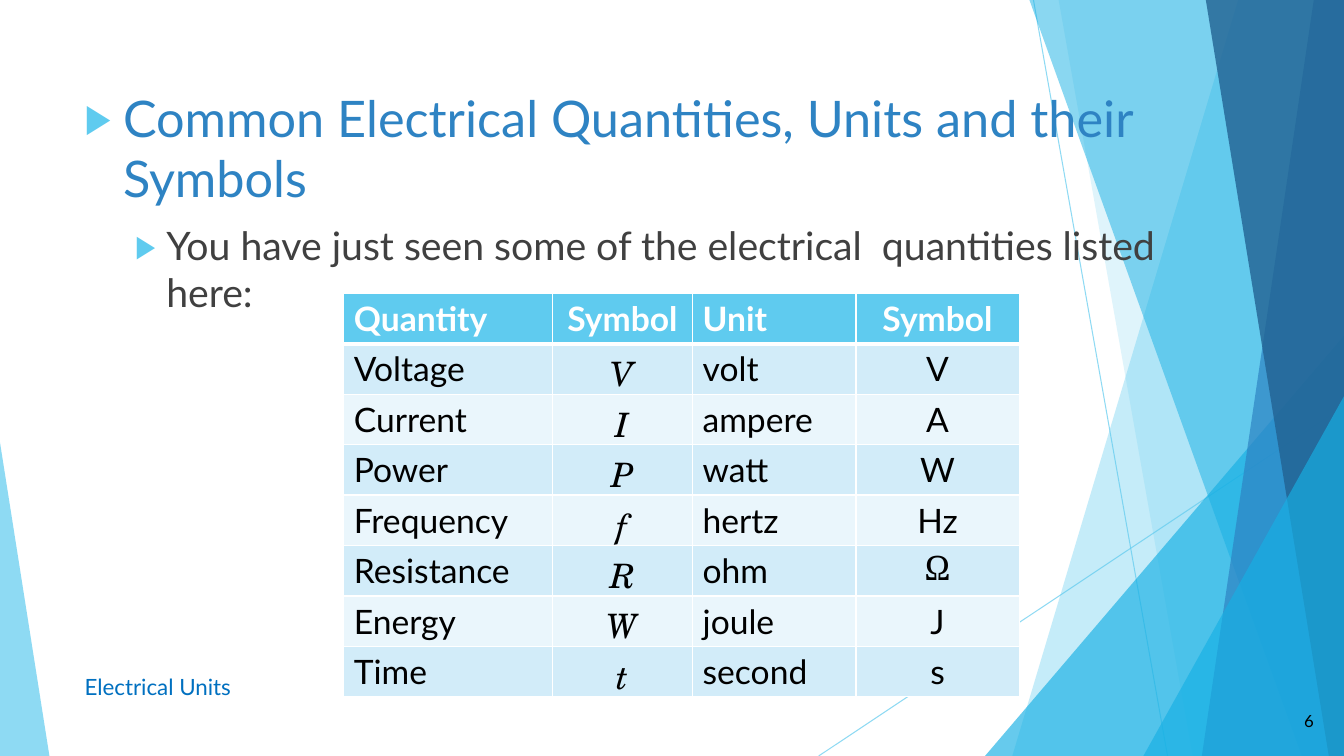
import pptx
import pptx.util
import pptx.dml.color
import pptx.enum.shapes
import pptx.enum.text
import pptx.oxml
import pptx.oxml.ns

Inches = pptx.util.Inches
Pt = pptx.util.Pt
RGBColor = pptx.dml.color.RGBColor
Align = pptx.enum.text.PP_ALIGN
Anchor = pptx.enum.text.MSO_ANCHOR

SKY = RGBColor(0x5F, 0xCB, 0xEF)
CYAN = RGBColor(0x17, 0xB0, 0xE4)
BLUE = RGBColor(0x2E, 0x83, 0xC3)
NAVY = RGBColor(0x22, 0x62, 0x92)
FOOTER_BLUE = RGBColor(0x00, 0x70, 0xC0)
GRAY = RGBColor(0x40, 0x40, 0x40)
BLACK = RGBColor(0x00, 0x00, 0x00)
WHITE = RGBColor(0xFF, 0xFF, 0xFF)
BAND_DARK = RGBColor(0xD2, 0xEC, 0xF9)
BAND_LIGHT = RGBColor(0xEA, 0xF6, 0xFC)

WIDTH, HEIGHT = 13.33, 7.5
TEXT_FONT = "Lato"
VARIABLE_FONT = "TeX Gyre Schola"
OMEGA_FONT = "Cambria"

RAYS = [((10.25, 0), (11.58, HEIGHT)), ((WIDTH, 4.03), (8.12, HEIGHT))]
FACETS = [
    ("band", 12.28, 10.04, SKY, 36),
    ("band", 10.5, 11.83, SKY, 20),
    ("triangle", (9.77, 3.33, 3.56, 4.17), 1, CYAN, 66),
    ("band", 10.21, 12.91, CYAN, 50),
    ("band", 13.03, 11.92, BLUE, 70),
    ("band", 11.96, 13.18, NAVY, 80),
    ("triangle", (11.34, 3.93, 1.99, 3.57), 1, CYAN, 66),
    ("triangle", (0, 4.39, 0.49, 3.11), 0, SKY, 70),
]
COLUMN_WIDTHS = [2.07, 1.39, 1.62, 1.62]
ROW_HEIGHT = 0.41
QUANTITIES = [
    ("Quantity", "Symbol", "Unit", "Symbol"),
    ("Voltage", "V", "volt", "V"),
    ("Current", "I", "ampere", "A"),
    ("Power", "P", "watt", "W"),
    ("Frequency", "f", "hertz", "Hz"),
    ("Resistance", "R", "ohm", "Ω"),
    ("Energy", "W", "joule", "J"),
    ("Time", "t", "second", "s"),
]


def add_xml(parent, xml):
    namespaces = pptx.oxml.ns.nsdecls("a")
    parent.append(pptx.oxml.parse_xml(xml.replace("/>", f" {namespaces}/>", 1)
                  if xml.endswith("/>") and xml.count("<") == 1
                  else xml.replace(">", f" {namespaces}>", 1)))


def set_opacity(fill_format, percent):
    color = fill_format._xPr.find(".//" + pptx.oxml.ns.qn("a:srgbClr"))
    add_xml(color, f'<a:alpha val="{percent * 1000}"/>')


def paint(shape, color, opacity):
    shape.shadow.inherit = False
    shape.fill.solid()
    shape.fill.fore_color.rgb = color
    set_opacity(shape.fill, opacity)
    shape.line.fill.background()


def add_ray(slide, start, end):
    points = [Inches(value) for value in start + end]
    ray = slide.shapes.add_connector(pptx.enum.shapes.MSO_CONNECTOR.STRAIGHT, *points)
    ray.line.color.rgb = SKY
    ray.line.width = Pt(0.75)
    set_opacity(ray.line.fill, 70)
    add_xml(ray._element.spPr, "<a:effectLst/>")


def add_band(slide, top_left, bottom_left, color, opacity):
    builder = slide.shapes.build_freeform(Inches(top_left), 0)
    corners = [(WIDTH, 0), (WIDTH, HEIGHT), (bottom_left, HEIGHT)]
    builder.add_line_segments([(Inches(x), Inches(y)) for x, y in corners], close=True)
    paint(builder.convert_to_shape(), color, opacity)


def add_triangle(slide, box, apex, color, opacity):
    kind = pptx.enum.shapes.MSO_SHAPE.ISOSCELES_TRIANGLE
    triangle = slide.shapes.add_shape(kind, *[Inches(value) for value in box])
    triangle.adjustments[0] = apex
    paint(triangle, color, opacity)


def write(paragraph, text, color, alignment=Align.LEFT, **values):
    paragraph.alignment = alignment
    run = paragraph.add_run()
    run.text = text
    run.font.color.rgb = color
    for name, value in ({"name": TEXT_FONT} | values).items():
        setattr(run.font, name, value)


def add_label(slide, box, text, color, size, alignment):
    label = slide.shapes.add_textbox(*[Inches(value) for value in box])
    frame = label.text_frame
    frame.word_wrap = True
    frame.vertical_anchor = Anchor.MIDDLE
    write(frame.paragraphs[0], text, color, alignment, size=Pt(size))


def add_bullet(paragraph, left, hanging):
    properties = paragraph._p.get_or_add_pPr()
    properties.set("marL", str(Inches(left)))
    properties.set("indent", str(-Inches(hanging)))
    add_xml(properties, f'<a:buClr><a:srgbClr val="{SKY}"/></a:buClr>')
    add_xml(properties, '<a:buSzPct val="80000"/>')
    add_xml(properties, f'<a:buFont typeface="{TEXT_FONT}"/>')
    add_xml(properties, '<a:buChar char="▶"/>')


def fill_body(body):
    body.element.getparent().append(body.element)
    box = {"left": 0.74, "top": 0.81, "width": 11.5, "height": 5.39}
    for name, value in box.items():
        setattr(body, name, Inches(value))
    frame = body.text_frame
    frame.auto_size = pptx.enum.text.MSO_AUTO_SIZE.NONE
    frame.vertical_anchor = Anchor.TOP
    heading, detail = frame.paragraphs[0], frame.add_paragraph()
    detail.level = 1
    add_bullet(heading, 0.38, 0.38)
    add_bullet(detail, 0.81, 0.31)
    heading.space_before, detail.space_before = Pt(0), Pt(10)
    write(heading, "Common Electrical Quantities, Units and their Symbols", BLUE, size=Pt(36))
    write(detail, "You have just seen some of the electrical  quantities listed here:",
          GRAY, size=Pt(28))


def style_cell(cell, color, top, bottom):
    properties = cell._tc.get_or_add_tcPr()
    for side, width in {"L": 1, "R": 1, "T": top, "B": bottom}.items():
        add_xml(properties, f'<a:ln{side} w="{Pt(width)}"><a:solidFill>'
                            f'<a:srgbClr val="{WHITE}"/></a:solidFill></a:ln{side}>')
    cell.fill.solid()
    cell.fill.fore_color.rgb = color


def add_quantity_table(slide):
    frame = slide.shapes.add_table(
        len(QUANTITIES), len(COLUMN_WIDTHS), Inches(3.41), Inches(2.91),
        Inches(sum(COLUMN_WIDTHS)), Inches(ROW_HEIGHT * len(QUANTITIES)))
    table = frame.table
    for column, width in zip(table.columns, COLUMN_WIDTHS):
        column.width = Inches(width)
    for row, texts in enumerate(QUANTITIES):
        header = row == 0
        band = SKY if header else (BAND_LIGHT, BAND_DARK)[row % 2]
        for column, text in enumerate(texts):
            cell = table.cell(row, column)
            style_cell(cell, band, 3 if row == 1 else 1, 3 if header else 1)
            variable = column == 1 and not header
            font = VARIABLE_FONT if variable else OMEGA_FONT if text == "Ω" else TEXT_FONT
            write(cell.text_frame.paragraphs[0], text, WHITE if header else BLACK,
                  Align.CENTER if column % 2 else Align.LEFT,
                  name=font, size=Pt(24), bold=header, italic=variable)


def main():
    presentation = pptx.Presentation()
    presentation.slide_width = Inches(WIDTH)
    presentation.slide_height = Inches(HEIGHT)
    slide = presentation.slides.add_slide(presentation.slide_layouts[1])
    title = slide.shapes.title.element
    title.getparent().remove(title)
    for start, end in RAYS:
        add_ray(slide, start, end)
    builders = {"band": add_band, "triangle": add_triangle}
    for kind, *geometry in FACETS:
        builders[kind](slide, *geometry)
    fill_body(slide.placeholders[1])
    add_label(slide, (0.74, 6.61, 6.89, 0.4), "Electrical Units", FOOTER_BLUE, 16, Align.LEFT)
    add_quantity_table(slide)
    add_label(slide, (12.38, 6.95, 0.75, 0.4), "6", BLACK, 12, Align.RIGHT)
    presentation.save("out.pptx")


if __name__ == "__main__":
    main()
